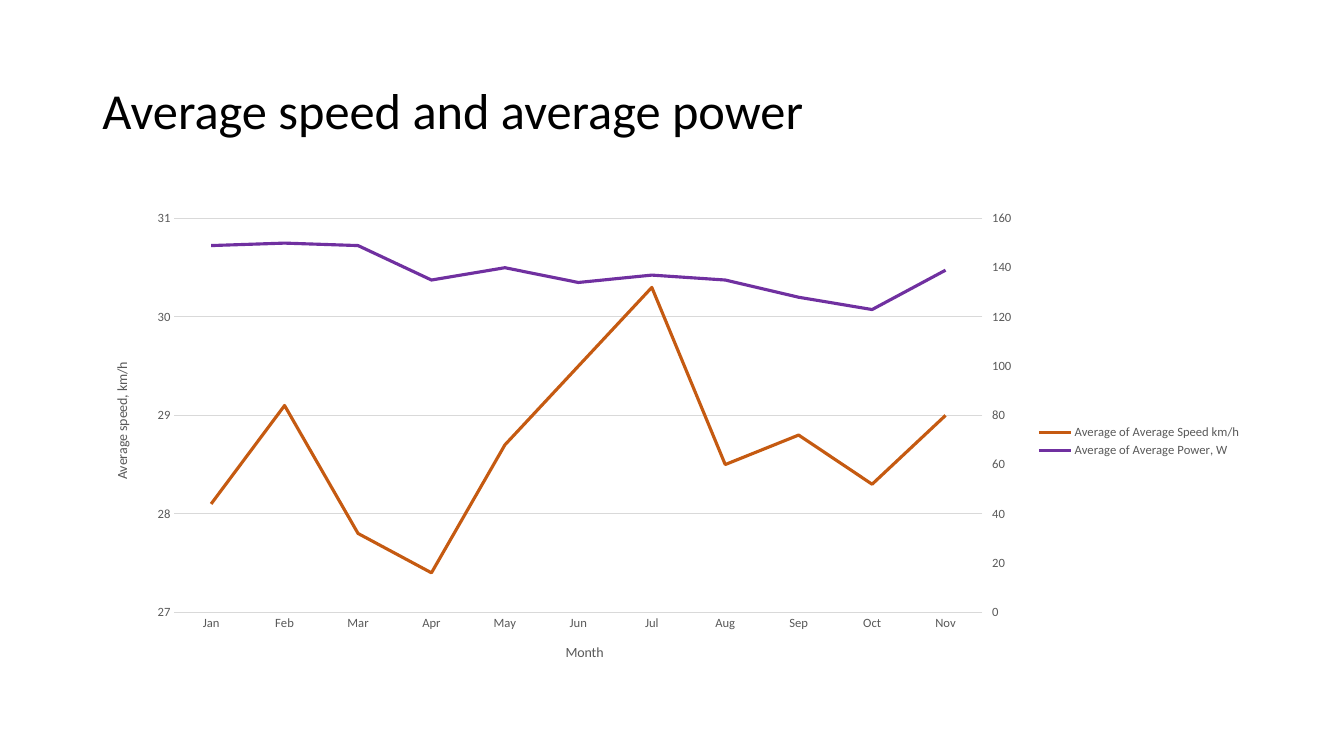
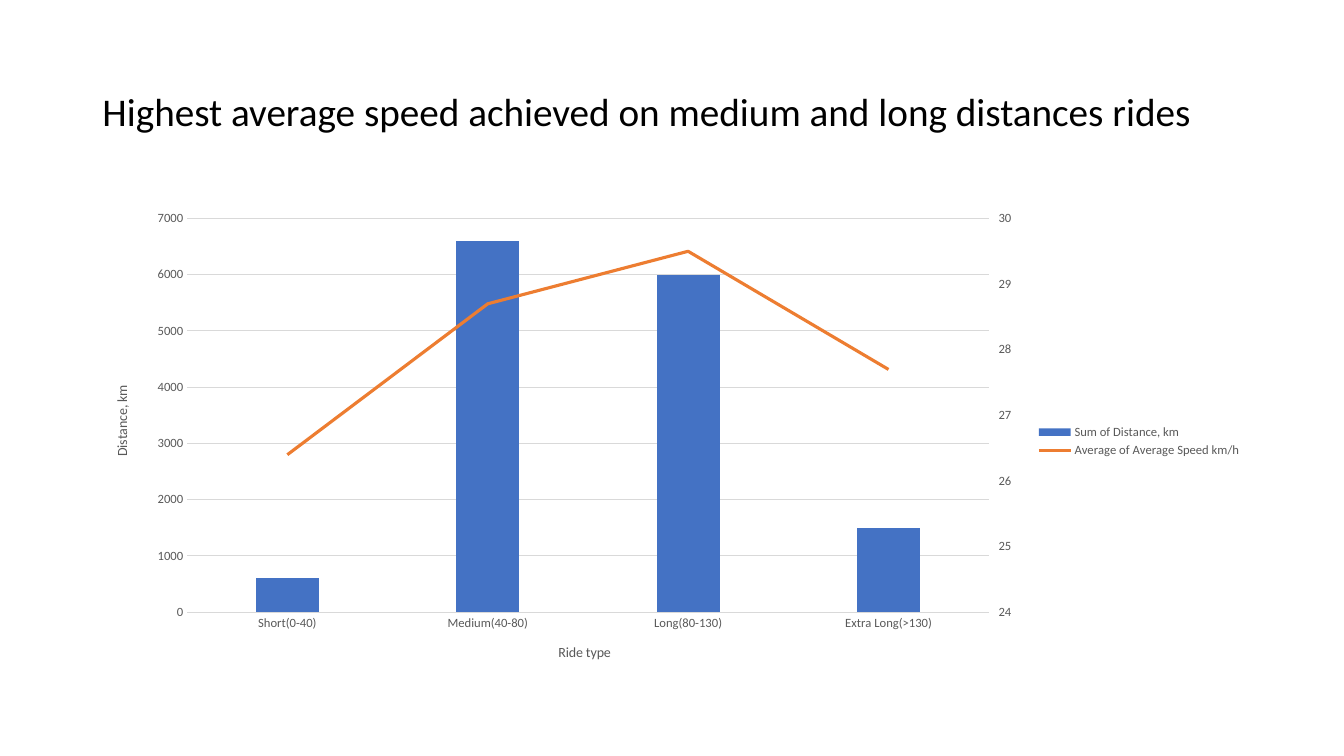
"""Build two slides, each with a two-axis chart on cycling rides."""
from pptx import Presentation
from pptx.chart.axis import ValueAxis
from pptx.chart.data import CategoryChartData
from pptx.dml.color import RGBColor
from pptx.enum.chart import XL_CHART_TYPE as Kind, XL_LEGEND_POSITION as Place
from pptx.enum.chart import XL_MARKER_STYLE as Marker, XL_TICK_MARK as Tick
from pptx.enum.text import MSO_ANCHOR, MSO_AUTO_SIZE, PP_ALIGN
from pptx.oxml import parse_xml
from pptx.oxml.ns import nsdecls, qn
from pptx.util import Pt

SLIDES = [
    {
        "title": "Average speed and average power", "size": 36,
        "kind": Kind.LINE,
        "categories": ["Jan", "Feb", "Mar", "Apr", "May", "Jun", "Jul",
                       "Aug", "Sep", "Oct", "Nov"],
        "series": [
            ("Average of Average Speed km/h", "C55A11",
             [28.1, 29.1, 27.8, 27.4, 28.7, 29.5, 30.3, 28.5, 28.8, 28.3, 29]),
            ("Average of Average Power, W", "7030A0",
             [149, 150, 149, 135, 140, 134, 137, 135, 128, 123, 139]),
        ],
        "axis_titles": ("Month", "Average speed, km/h"),
        "left_scale": (27, 31, 1), "right_scale": (0, 160, 20),
    },
    {
        "title": "Highest average speed achieved on medium and long distances rides",
        "size": 28,
        "kind": Kind.COLUMN_CLUSTERED,
        "categories": ["Short(0-40)", "Medium(40-80)", "Long(80-130)",
                       "Extra Long(>130)"],
        "series": [
            ("Sum of Distance, km", "4472C4", [600, 6600, 6000, 1500]),
            ("Average of Average Speed km/h", "ED7D31", [26.4, 28.7, 29.5, 27.7]),
        ],
        "axis_titles": ("Ride type", "Distance, km"),
        "left_scale": (0, 7000, 1000), "right_scale": (24, 30, 1),
    },
]
FONT, BLACK, GREY, RULE = "Calibri", "000000", "595959", "D9D9D9"
LEFT, WIDTH = 66, 828
TITLE_BOX = (LEFT, 28.8, WIDTH, 104.4)
CHART_BOX = (LEFT, 144, WIDTH, 342.7)
RIGHT_CATEGORY_ID, RIGHT_VALUE_ID = 50010, 50020

RIGHT_LINE = f"""<c:lineChart {nsdecls('c')}><c:grouping val="standard"/>
<c:varyColors val="0"/><c:marker val="1"/>
<c:axId val="{RIGHT_CATEGORY_ID}"/><c:axId val="{RIGHT_VALUE_ID}"/></c:lineChart>"""
AXIS = """<c:{tag} {ns}><c:axId val="{own}"/>
<c:scaling><c:orientation val="minMax"/></c:scaling><c:delete val="{hidden}"/>
<c:axPos val="{side}"/><c:majorTickMark val="out"/><c:minorTickMark val="none"/>
<c:tickLblPos val="nextTo"/><c:crossAx val="{other}"/><c:crosses val="{crosses}"/>
</c:{tag}>"""


def color(code):
    """Turn a hex string into a colour."""
    return RGBColor.from_string(code)


def assign(target, values):
    """Set each named attribute of the target."""
    for name, value in values.items():
        setattr(target, name, value)


def style_font(font, size, code):
    """Give a font the shared face with a size and colour."""
    assign(font, {"name": FONT, "size": Pt(size), "bold": False})
    font.color.rgb = color(code)


def style_line(line, code, width):
    """Draw a line in one colour and width."""
    line.color.rgb = color(code)
    line.width = Pt(width)


def add_axis(area, tag, own, other, side, hidden, crosses):
    """Add an axis behind the axes already in the plot area."""
    axis = parse_xml(AXIS.format(ns=nsdecls("c"), tag=tag, own=own, other=other,
                                 side=side, hidden=hidden, crosses=crosses))
    area.findall(qn("c:valAx"))[-1].addnext(axis)
    return axis


def move_to_right(chart):
    """Move the last series to a line on a second value axis."""
    series = list(chart.plots[0].series)[-1]._element
    plot = series.getparent()
    area = plot.getparent()
    line_plot = parse_xml(RIGHT_LINE)
    plot.addnext(line_plot)
    for extra in series.findall(qn("c:invertIfNegative")):
        series.remove(extra)
    line_plot.find(qn("c:varyColors")).addnext(series)
    right = add_axis(area, "valAx", RIGHT_VALUE_ID, RIGHT_CATEGORY_ID, "r", 0, "max")
    add_axis(area, "catAx", RIGHT_CATEGORY_ID, RIGHT_VALUE_ID, "b", 1, "autoZero")
    return ValueAxis(right)


def style_value_axis(axis, scale, tick):
    """Set the scale and whole-number labels of a value axis."""
    low, high, step = scale
    assign(axis, {"minimum_scale": low, "maximum_scale": high,
                  "major_unit": step, "major_tick_mark": tick})
    assign(axis.tick_labels, {"number_format": "0", "number_format_is_linked": False})
    axis.format.line.fill.background()
    style_font(axis.tick_labels.font, 9, GREY)


def title_axis(axis, text):
    """Write the title of an axis."""
    frame = axis.axis_title.text_frame
    frame.text = text
    style_font(frame.paragraphs[0].runs[0].font, 10, GREY)
    return frame


def add_title(page, text, size):
    """Fill and place the title."""
    box = page.shapes.title
    assign(box, dict(zip(("left", "top", "width", "height"), map(Pt, TITLE_BOX))))
    frame = box.text_frame
    frame.text = text
    assign(frame, {"word_wrap": True, "auto_size": MSO_AUTO_SIZE.NONE,
                   "vertical_anchor": MSO_ANCHOR.MIDDLE})
    para = frame.paragraphs[0]
    assign(para, {"alignment": PP_ALIGN.LEFT, "line_spacing": 0.9})
    style_font(para.runs[0].font, size, BLACK)


def add_ride_chart(page, content):
    """Add a chart whose second series uses the right axis."""
    data = CategoryChartData()
    data.categories = content["categories"]
    for name, _, values in content["series"]:
        data.add_series(name, values)
    chart = page.shapes.add_chart(content["kind"], *map(Pt, CHART_BOX), data).chart
    assign(chart, {"has_title": False, "has_legend": True})
    style_font(chart.font, 10, BLACK)
    assign(chart.legend, {"position": Place.RIGHT, "include_in_layout": False})
    style_font(chart.legend.font, 9, GREY)

    bottom, left = chart.category_axis, chart.value_axis
    right = move_to_right(chart)
    style_value_axis(left, content["left_scale"], Tick.NONE)
    style_value_axis(right, content["right_scale"], Tick.OUTSIDE)
    left.has_major_gridlines = True
    style_line(left.major_gridlines.format.line, RULE, 0.75)
    bottom.major_tick_mark = Tick.NONE
    style_line(bottom.format.line, RULE, 0.75)
    style_font(bottom.tick_labels.font, 9, GREY)
    bottom_title, left_title = content["axis_titles"]
    title_axis(bottom, bottom_title)
    turned = title_axis(left, left_title)._txBody.bodyPr
    turned.set("rot", "-5400000")
    turned.set("vert", "horz")

    for plot, (_, code, _) in zip(chart.plots, content["series"]):
        plot.vary_by_categories = False
        series = plot.series[0]
        if hasattr(series, "smooth"):
            series.smooth = False
            series.marker.style = Marker.NONE
            style_line(series.format.line, code, 2.25)
        else:
            plot.gap_width = 219
            series.format.fill.solid()
            series.format.fill.fore_color.rgb = color(code)


deck = Presentation()
assign(deck, {"slide_width": Pt(960), "slide_height": Pt(540)})
for content in SLIDES:
    page = deck.slides.add_slide(deck.slide_layouts.get_by_name("Title Only"))
    add_title(page, content["title"], content["size"])
    add_ride_chart(page, content)
deck.save("out.pptx")
